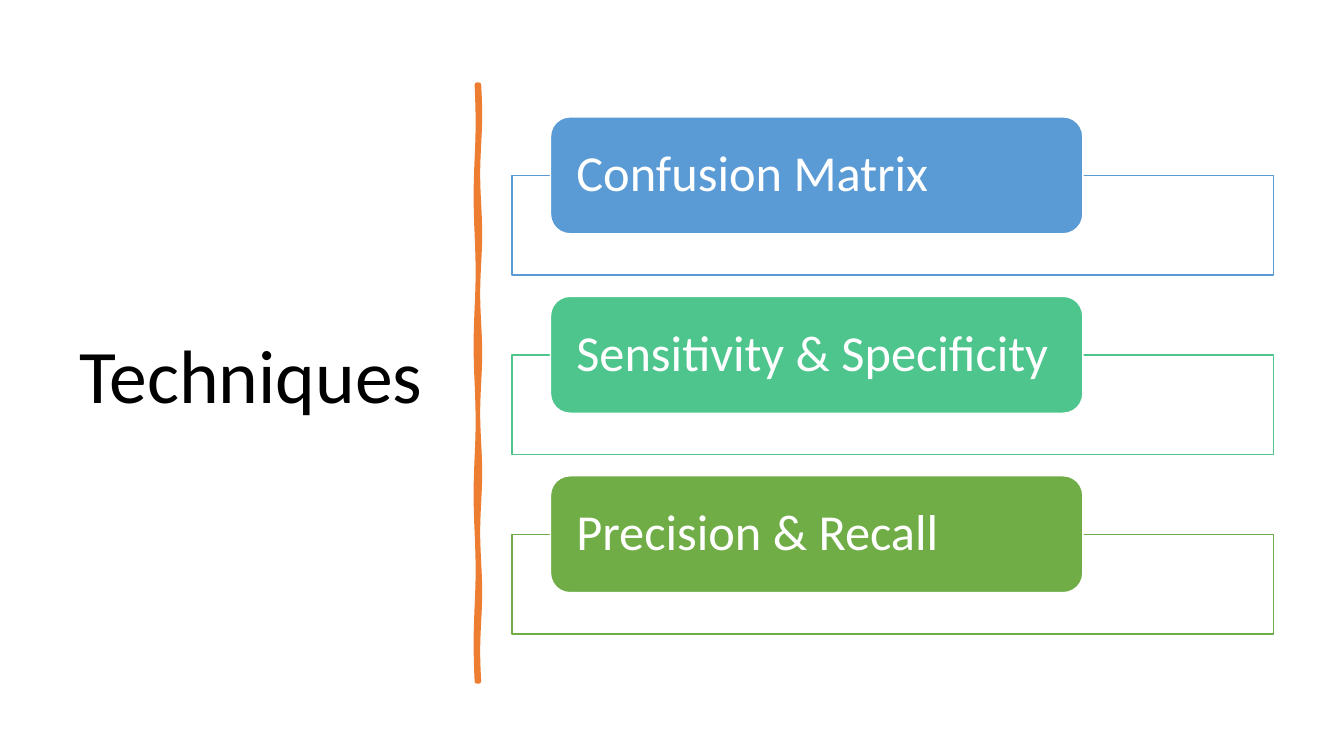
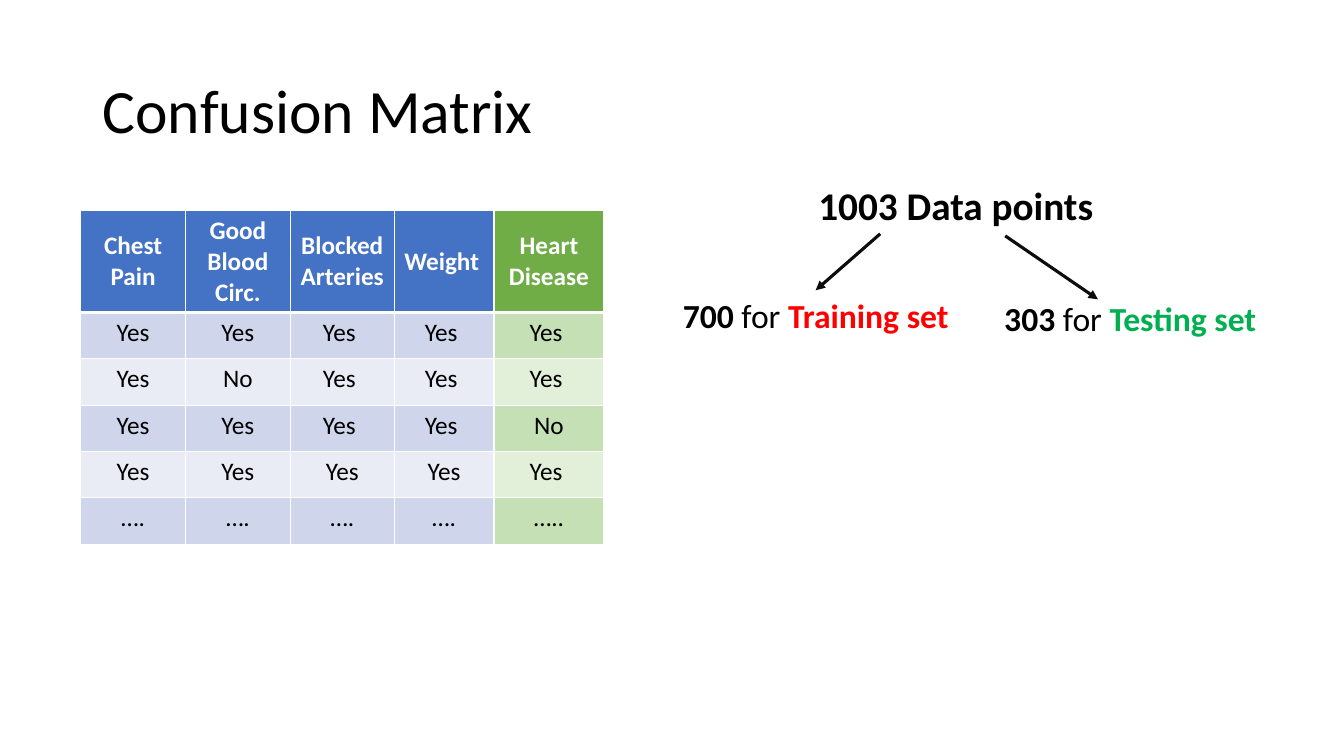
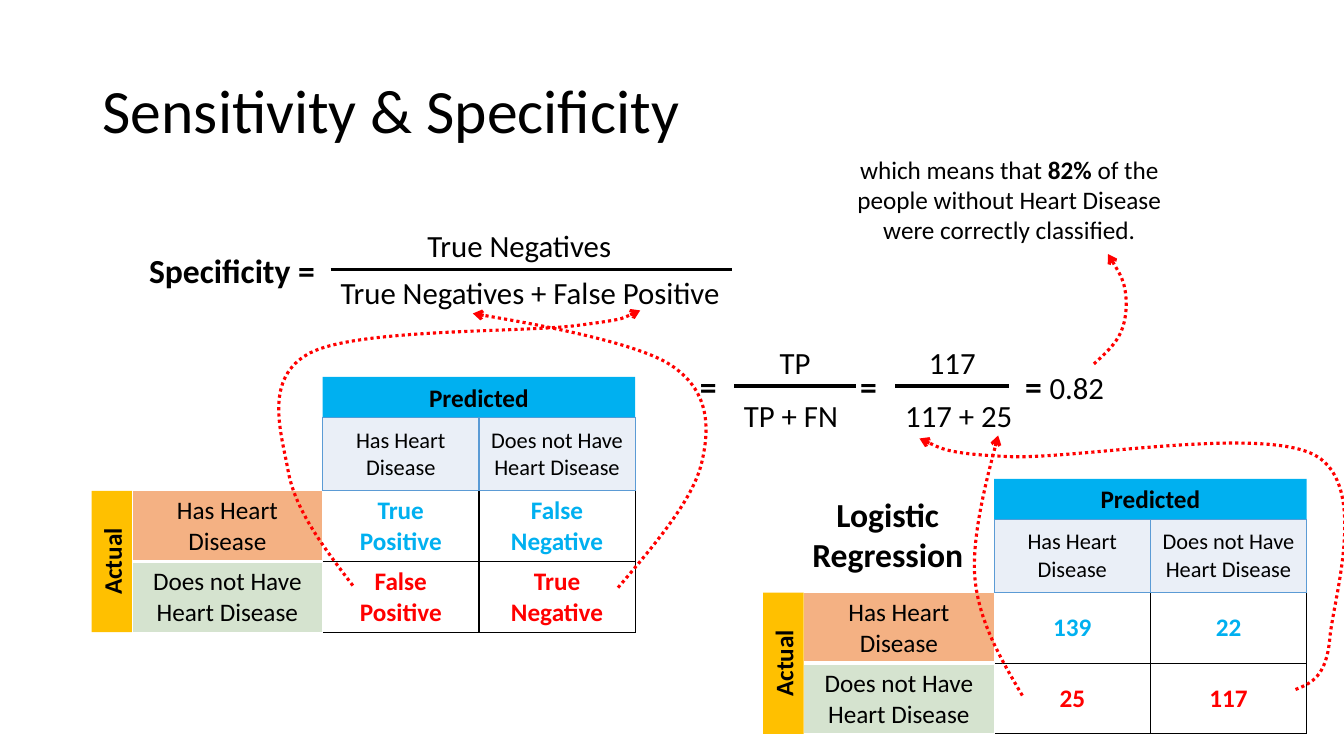
from collections import namedtuple
from itertools import product
from math import pi, sin
from pptx import Presentation
from pptx.dml.color import RGBColor
from pptx.enum.dml import MSO_LINE
from pptx.enum.shapes import MSO_CONNECTOR, MSO_SHAPE
from pptx.enum.text import MSO_ANCHOR, PP_ALIGN
from pptx.oxml.ns import qn
from pptx.oxml.xmlchemy import OxmlElement
from pptx.util import Inches, Pt

Fraction = namedtuple("Fraction", "left bar width gap shift upper lower")
Label = namedtuple("Label", "area size align paragraphs")
Matrix = namedtuple("Matrix", "left top counts")

FONT = "Calibri"
BLACK, WHITE, RED, ORANGE, AMBER = "000000", "FFFFFF", "FF0000", "ED7D31", "FFC000"
SKY, BLUE, MINT, GREEN, EMERALD = "00B0F0", "5B9BD5", "4DC58D", "70AD47", "00B050"
INK, PALE = "0D0D0D", "EAEFF7"
LEFT, CENTER, RIGHT = PP_ALIGN.LEFT, PP_ALIGN.CENTER, PP_ALIGN.RIGHT
TOP, MIDDLE = MSO_ANCHOR.TOP, MSO_ANCHOR.MIDDLE
BOLD = {"bold": True}
TITLE_AREA = (0.92, 0.4, 6.82, 1.45)

TECHNIQUES = [
    ("Confusion Matrix", BLUE),
    ("Sensitivity & Specificity", MINT),
    ("Precision & Recall", GREEN),
]
CARD_PITCH = 1.78

PATIENTS = [
    ["Chest Pain", "Good Blood Circ.", "Blocked Arteries", "Weight", "Heart Disease"],
    ["Yes", "Yes", "Yes ", "Yes ", "Yes "],
    ["Yes", "No", "Yes ", "Yes ", "Yes "],
    ["Yes", "Yes", "Yes ", "Yes ", "No"],
    ["Yes", "Yes", "Yes", "Yes", "Yes "],
    ["….", "….", "….", "….", "….."],
]
PATIENT_COLUMNS = [1.04, 1.04, 1.03, 0.99, 1.09]
PATIENT_ROWS = [1.01] + [0.46] * 5
WEIGHT, OUTCOME = 3, 4
FEATURE_FILLS = ("4472C4", "CFD5EA", "E9EBF5")
OUTCOME_FILLS = (GREEN, "C5E0B4", "E2F0D9")

SPLIT_LABELS = [
    Label((8, 1.75, 2.96, 0.57), 28, CENTER, [[("1003 Data points", BOLD)]]),
    Label((6.67, 2.88, 2.84, 0.5), 24, CENTER,
          [[("700", BOLD), (" for ", {}), ("Training set", {"bold": True, "color": RED})]]),
    Label((9.73, 2.91, 2.96, 0.5), 24, CENTER,
          [[("303", BOLD), (" for ", {}), ("Testing set", {"bold": True, "color": EMERALD})]]),
]
SPLIT_ARROWS = [((8.73, 2.32), (8.09, 2.88)), ((9.97, 2.34), (10.89, 2.97))]

CLASSES = ["Has Heart Disease", "Does not Have Heart Disease"]
CLASS_FILLS = ["F4B183", "D5E3CF"]
CELL_WIDTH, CELL_HEIGHT, CLASS_WIDTH = 1.55, 0.7, 1.89
HEADING_HEIGHT, BANNER_HEIGHT = 0.73, 0.4
MATRICES = [
    Matrix(3.2, 4.87, [["True\nPositive", "False\nNegative"],
                       ["False\nPositive", "True\nNegative"]]),
    Matrix(9.86, 5.88, [["139", "22"], ["25", "117"]]),
]
FRACTIONS = [
    Fraction(3.28, 2.67, 3.98, 0, -0.12, "True Negatives", "True Negatives + False Positive"),
    Fraction(7.28, 3.83, 1.21, 0.06, 0, "TP", "TP + FN"),
    Fraction(8.88, 3.83, 1.13, 0.06, 0, "117", "117 + 25"),
]
FORMULA_LABELS = [
    Label((1.38, 2.43, 1.9, 0.5), 24, LEFT, [[("Specificity =", BOLD)]]),
    Label((5.17, 3.58, 2.11, 0.5), 24, RIGHT, [[("= ", BOLD)]]),
    Label((6.9, 3.58, 1.97, 0.5), 24, RIGHT, [[("= ", BOLD)]]),
    Label((10.07, 3.58, 1.13, 0.5), 24, LEFT, [[("= ", BOLD), ("0.82", {"size": 22})]]),
    Label((7.86, 4.85, 1.89, 0.91), 24, CENTER,
          [[("Logistic", BOLD)], [("Regression", BOLD)]]),
    Label((8.34, 1.48, 3.34, 1.01), 18, CENTER,
          [[("which means that ", {}), ("82% ", BOLD),
            ("of the people without Heart Disease were correctly classified.", {})]]),
]
ARROW_KNOTS = {
    "true negative to denominator": [(6.13, 5.83), (6.96, 4.59), (6.65, 3.62), (4.69, 3.11)],
    "false positive to denominator": [(3.5, 5.81), (2.86, 4.68), (3.08, 3.5), (5.72, 3.23),
                                      (6.35, 3.08)],
    "count 117 to denominator": [(12.85, 6.84), (13.19, 6.33), (13.05, 4.52), (10.01, 4.53),
                                 (9.12, 4.35)],
    "count 25 to denominator": [(10.14, 6.9), (9.67, 5.74), (9.9, 4.32)],
    "result to meaning": [(10.85, 3.61), (11.12, 3.29), (11.16, 2.88), (10.99, 2.52)],
}


def rgb(color):
    return RGBColor.from_string(color)


def inches(values):
    return [Inches(value) for value in values]


def write(frame, paragraphs, size, align=LEFT, anchor=TOP, spacing=None, **common):
    frame.word_wrap = True
    frame.vertical_anchor = anchor
    for index, runs in enumerate(paragraphs):
        para = frame.paragraphs[0] if index == 0 else frame.add_paragraph()
        para.alignment = align
        if spacing:
            para.line_spacing = spacing
        for text, changes in runs:
            span = para.add_run()
            span.text = text
            style = {"name": FONT, "size": size, "bold": False, "color": BLACK,
                     **common, **changes}
            span.font.color.rgb = rgb(style.pop("color"))
            style["size"] = Pt(style["size"])
            for name, value in style.items():
                setattr(span.font, name, value)


def add_text(page, area, paragraphs, size, **options):
    box = page.shapes.add_textbox(*inches(area))
    write(box.text_frame, paragraphs, size, **options)


def add_labels(page, labels):
    for label in labels:
        add_text(page, label.area, label.paragraphs, label.size, align=label.align)


def add_title(page, text, area=TITLE_AREA, size=44):
    add_text(page, area, [[(text, {})]], size, anchor=MIDDLE, spacing=0.9)


def paint(shape, fill=None, line=None, width=1):
    shape.shadow.inherit = False
    for target, color in ((shape.fill, fill), (shape.line.fill, line)):
        if color:
            target.solid()
            target.fore_color.rgb = rgb(color)
        else:
            target.background()
    if line:
        shape.line.width = Pt(width)


def add_box(page, kind, area, **look):
    box = page.shapes.add_shape(kind, *inches(area))
    paint(box, **look)
    return box


def add_arrowhead(shape, kind):
    head = OxmlElement("a:tailEnd")
    head.set("type", kind)
    shape.element.spPr.find(qn("a:ln")).append(head)


def add_line(page, start, end, color=BLACK, head=None):
    line = page.shapes.add_connector(MSO_CONNECTOR.STRAIGHT, *inches(start + end))
    line.line.color.rgb = rgb(color)
    line.line.width = Pt(2.25)
    if head:
        add_arrowhead(line, head)
    line.element.spPr.append(OxmlElement("a:effectLst"))


def add_outline(page, points, close=False, **look):
    first, *rest = [tuple(inches(point)) for point in points]
    builder = page.shapes.build_freeform(*first)
    builder.add_line_segments(rest, close=close)
    outline = builder.convert_to_shape()
    paint(outline, **look)
    return outline


def bezier_points(knots):
    handles = [(((after[0] - before[0]) / 6), ((after[1] - before[1]) / 6))
               for before, after in zip(knots, knots[2:])]
    arriving = [(x - dx, y - dy) for (x, y), (dx, dy) in zip(knots[1:], handles)] + [knots[-1]]
    leaving = [(x + dx, y + dy) for (x, y), (dx, dy) in zip(knots[1:], handles)]
    start = tuple((a + b) / 2 for a, b in zip(knots[0], arriving[0]))
    points = [knots[0]]
    for trio in zip([start] + leaving, arriving, knots[1:]):
        points.extend(trio)
    return points


def add_dotted_arrow(page, knots):
    arrow = add_outline(page, bezier_points(knots), line=RED, width=2.25)
    contour = next(arrow.element.iter(qn("a:path")))
    segments = contour.findall(qn("a:lnTo"))
    for index in range(0, len(segments), 3):
        bend = OxmlElement("a:cubicBezTo")
        segments[index].addprevious(bend)
        for segment in segments[index:index + 3]:
            bend.append(segment[0])
            contour.remove(segment)
    arrow.line.dash_style = MSO_LINE.ROUND_DOT
    add_arrowhead(arrow, "arrow")


def add_brush_stroke(page, center=4.74, top=0.84, bottom=6.76, steps=60):
    def edge(side, waves):
        return [(center + 0.01 * (side + sin(2 * pi * waves * step / steps)),
                 top + (bottom - top) * step / steps) for step in range(steps + 1)]

    add_outline(page, edge(1, 5) + edge(-1, 4)[::-1], close=True,
                fill=ORANGE, line=ORANGE, width=3.25)


def set_borders(cell, color, widths):
    properties = cell._tc.get_or_add_tcPr()
    for position, side in enumerate("LRTB"):
        edge = OxmlElement(f"a:ln{side}")
        if widths[side]:
            edge.set("w", str(Pt(widths[side])))
            fill = OxmlElement("a:solidFill")
            tint = OxmlElement("a:srgbClr")
            tint.set("val", color)
            fill.append(tint)
        else:
            fill = OxmlElement("a:noFill")
        edge.append(fill)
        properties.insert(position, edge)


def thick_under_first(row, column):
    return {"L": 1, "R": 1, "T": 3 if row == 1 else 1, "B": 3 if row == 0 else 1}


def open_top_left(row, column):
    return {"L": min(column, 1), "R": 1, "T": min(row, 1), "B": 1}


def all_thin(row, column):
    return dict.fromkeys("LRTB", 1)


def add_grid(page, corner, columns, rows, values, look, color, borders):
    area = (*corner, sum(columns), sum(rows))
    table = page.shapes.add_table(len(rows), len(columns), *inches(area)).table
    table.first_row = table.horz_banding = False
    for column, width in zip(table.columns, columns):
        column.width = Inches(width)
    for row, height in zip(table.rows, rows):
        row.height = Inches(height)
    for row, column in product(range(len(rows)), range(len(columns))):
        cell = table.cell(row, column)
        style = {"size": 18, "align": CENTER, "anchor": MIDDLE, **look(row, column)}
        fill, anchor = style.pop("fill", None), style.pop("anchor")
        if fill:
            cell.fill.solid()
            cell.fill.fore_color.rgb = rgb(fill)
        else:
            cell.fill.background()
        lines = values[row][column].split("\n")
        write(cell.text_frame, [[(line, {})] for line in lines], **style)
        cell.vertical_anchor = anchor
        set_borders(cell, color, borders(row, column))


def patient_look(row, column):
    fills = OUTCOME_FILLS if column == OUTCOME else FEATURE_FILLS
    if row == 0:
        return {"fill": fills[0], "color": WHITE, "bold": True,
                "align": LEFT if column == WEIGHT else CENTER}
    return {"fill": fills[2 - row % 2], "anchor": TOP}


def count_look(row, column):
    return {"bold": True, "color": (SKY, RED)[row]}


def class_look(row, column):
    return {"fill": CLASS_FILLS[row], "anchor": TOP}


def heading_look(row, column):
    return {"fill": PALE, "size": 16}


def add_banner(page, text, center, length, fill, turn=0):
    x, y = center
    area = (x - length / 2, y - BANNER_HEIGHT / 2, length, BANNER_HEIGHT)
    banner = add_box(page, MSO_SHAPE.RECTANGLE, area, fill=fill)
    banner.rotation = turn
    write(banner.text_frame, [[(text, BOLD)]], 18, align=CENTER)


def add_matrix(page, matrix):
    left, top, counts = matrix
    columns, rows = [CELL_WIDTH] * 2, [CELL_HEIGHT] * 2
    classes_left, heading_top = left - CLASS_WIDTH, top - HEADING_HEIGHT
    add_grid(page, (left, top), columns, rows, counts, count_look, BLACK, open_top_left)
    add_grid(page, (classes_left, top), [CLASS_WIDTH], rows, [[name] for name in CLASSES],
             class_look, WHITE, thick_under_first)
    add_grid(page, (left, heading_top), columns, [HEADING_HEIGHT], [CLASSES],
             heading_look, BLUE, all_thin)
    half = BANNER_HEIGHT / 2
    add_banner(page, "Predicted", (left + CELL_WIDTH, heading_top - half), sum(columns), SKY)
    add_banner(page, "Actual", (classes_left - half, top + CELL_HEIGHT), sum(rows), AMBER, 270)


def add_fraction(page, fraction):
    left, bar, width, gap, shift, upper, lower = fraction
    height, spare = 0.47, 0.5
    add_line(page, (left, bar), (left + width, bar))
    add_text(page, (left + shift - spare, bar - height, width + 2 * spare, height),
             [[(upper, {})]], 22, align=CENTER)
    add_text(page, (left, bar + gap, width + 0.15, height), [[(lower, {})]], 22)


def add_card(page, top, name, color):
    add_box(page, MSO_SHAPE.RECTANGLE, (5.08, top + 0.58, 7.55, 0.99), fill=WHITE, line=color)
    card = add_box(page, MSO_SHAPE.ROUNDED_RECTANGLE, (5.46, top, 5.28, 1.16),
                   fill=color, line=WHITE)
    card.text_frame.margin_left = Inches(0.2)
    write(card.text_frame, [[(name, {})]], 36, anchor=MIDDLE, spacing=0.9, color=WHITE)


def build_techniques(page):
    add_title(page, "Techniques", (0.69, 0.7, 3.74, 6.11), 54)
    add_brush_stroke(page)
    for index, (name, color) in enumerate(TECHNIQUES):
        add_card(page, 1.16 + CARD_PITCH * index, name, color)


def build_confusion(page):
    add_title(page, "Confusion Matrix")
    add_grid(page, (0.8, 2.09), PATIENT_COLUMNS, PATIENT_ROWS, PATIENTS,
             patient_look, WHITE, thick_under_first)
    add_labels(page, SPLIT_LABELS)
    for start, end in SPLIT_ARROWS:
        add_line(page, start, end, INK, "triangle")


def build_specificity(page):
    add_title(page, "Sensitivity & Specificity")
    for matrix in MATRICES:
        add_matrix(page, matrix)
    for fraction in FRACTIONS:
        add_fraction(page, fraction)
    add_labels(page, FORMULA_LABELS)
    for knots in ARROW_KNOTS.values():
        add_dotted_arrow(page, knots)


def main():
    deck = Presentation()
    deck.slide_width, deck.slide_height = inches((13.33, 7.5))
    for build in (build_techniques, build_confusion, build_specificity):
        build(deck.slides.add_slide(deck.slide_layouts[6]))
    deck.save("out.pptx")


if __name__ == "__main__":
    main()
